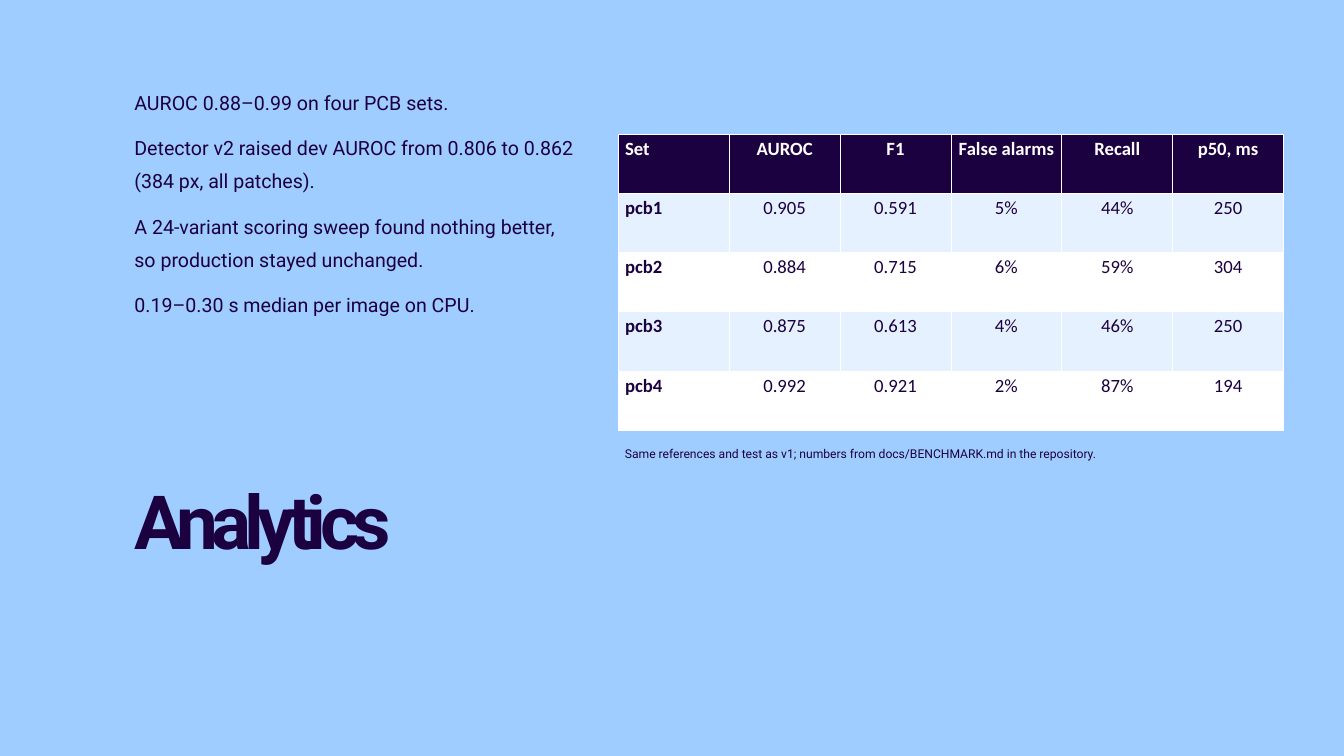
"""Build the Analytics slide with benchmark results for four PCB sets."""
from pptx import Presentation
from pptx.dml.color import RGBColor
from pptx.enum.text import MSO_AUTO_SIZE as Auto, PP_ALIGN as Align
from pptx.util import Cm, Pt

COLORS = {"bg": "9FCDFF", "ink": "1C0140", "white": "FFFFFF", "band": "E6F1FF"}
FINDINGS = [
    "AUROC 0.88–0.99 on four PCB sets.",
    "Detector v2 raised dev AUROC from 0.806 to 0.862 (384 px, all patches).",
    "A 24-variant scoring sweep found nothing better, so production stayed unchanged.",
    "0.19–0.30 s median per image on CPU.",
]
ROWS = [
    ["Set", "AUROC", "F1", "False alarms", "Recall", "p50, ms"],
    ["pcb1", "0.905", "0.591", "5%", "44%", "250"],
    ["pcb2", "0.884", "0.715", "6%", "59%", "304"],
    ["pcb3", "0.875", "0.613", "4%", "46%", "250"],
    ["pcb4", "0.992", "0.921", "2%", "87%", "194"],
]
NOTE = "Same references and test as v1; numbers from docs/BENCHMARK.md in the repository."


def add_run(p, text, size, font="Roboto", color="ink", bold=False):
    r = p.add_run()
    r.text = text
    r.font.size = Pt(size)
    r.font.name = font
    r.font.bold = bold
    r.font.color.rgb = RGBColor.from_string(COLORS[color])
    return r


def add_box(s, left, top, width, height, inset=True):
    tf = s.shapes.add_textbox(Cm(left), Cm(top), Cm(width), Cm(height)).text_frame
    tf.word_wrap = True
    tf.auto_size = Auto.SHAPE_TO_FIT_TEXT
    if not inset:
        tf.margin_left = tf.margin_top = tf.margin_right = tf.margin_bottom = 0
    return tf


prs = Presentation()
prs.slide_width, prs.slide_height = Cm(50.8), Cm(28.58)
s = prs.slides.add_slide(prs.slide_layouts[6])
s.background.fill.solid()
s.background.fill.fore_color.rgb = RGBColor.from_string(COLORS["bg"])

p = add_box(s, 5.08, 17.78, 17.12, 7.49, inset=False).paragraphs[0]
p.line_spacing = Pt(101.3)
r = add_run(p, "Analytics", 80, bold=True)
r._r.get_or_add_rPr().set("spc", "-720")

tf = add_box(s, 5.08, 3.05, 16.76, 13.72, inset=False)
for i, text in enumerate(FINDINGS):
    p = tf.add_paragraph() if i else tf.paragraphs[0]
    p.line_spacing = Pt(35.9)
    if i:
        p.space_before = Pt(12.6)
    add_run(p, text, 21)

table = s.shapes.add_table(
    len(ROWS), len(ROWS[0]), Cm(23.37), Cm(5.08), Cm(25.15), Cm(11.18)).table
for i, row in enumerate(ROWS):
    fill = "ink" if i == 0 else "band" if i % 2 else "white"
    for j, text in enumerate(row):
        cell = table.cell(i, j)
        cell.fill.solid()
        cell.fill.fore_color.rgb = RGBColor.from_string(COLORS[fill])
        p = cell.text_frame.paragraphs[0]
        if j:
            p.alignment = Align.CENTER
        add_run(p, text, 20, "Calibri", "ink" if i else "white", bold=i == 0 or j == 0)

tf = add_box(s, 23.37, 16.76, 25.15, 2.54)
add_run(tf.paragraphs[0], NOTE, 13)

prs.save("out.pptx")
